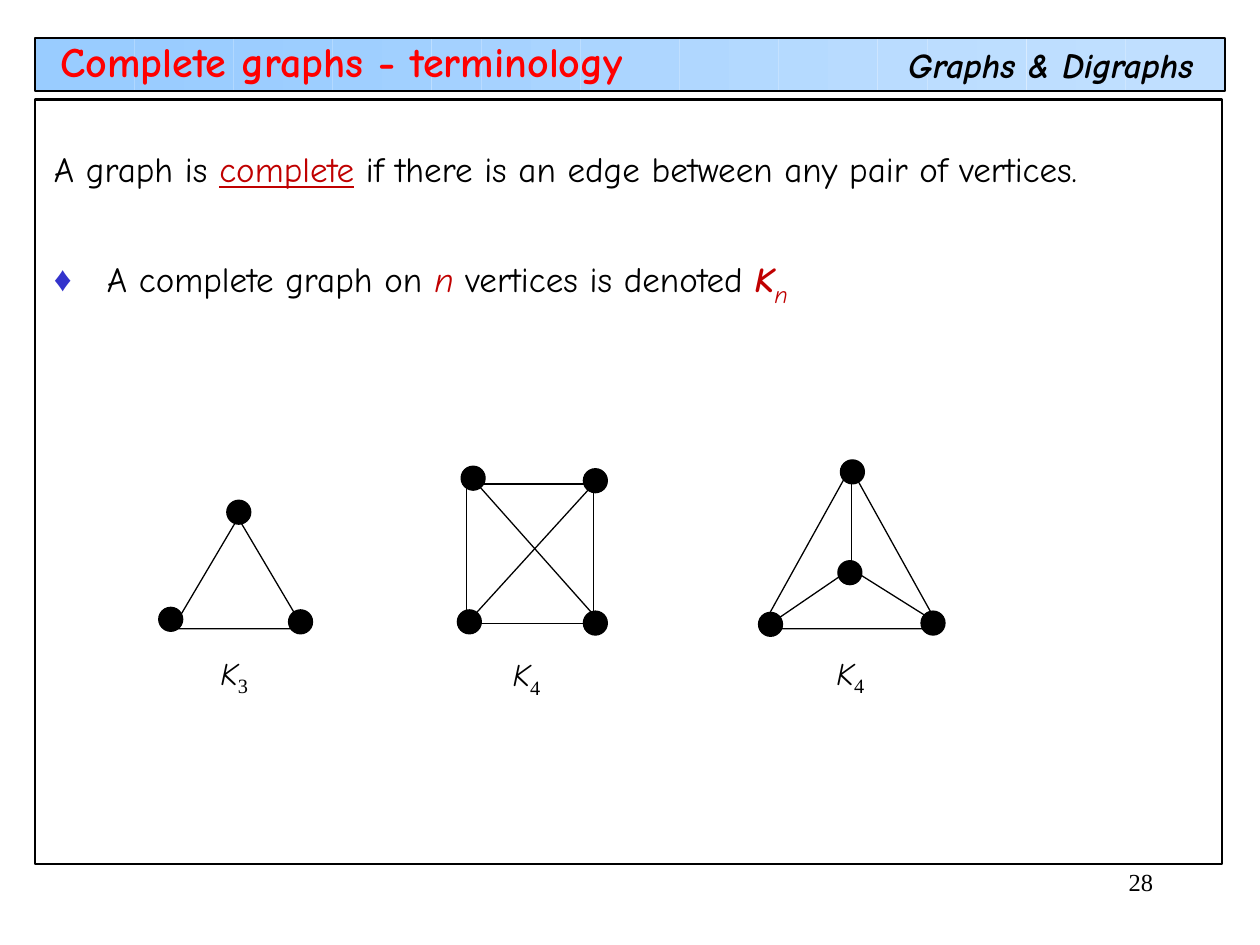
from math import cos, pi

from lxml.etree import SubElement
from pptx import Presentation
from pptx.dml.color import RGBColor
from pptx.enum.shapes import MSO_CONNECTOR, MSO_SHAPE as Shape
from pptx.enum.text import MSO_ANCHOR as Anchor, PP_ALIGN as Align
from pptx.oxml.ns import qn
from pptx.util import Inches, Pt

BLACK = RGBColor(0, 0, 0)
RED = RGBColor(0xFF, 0, 0)
DARK_RED = RGBColor(0xC0, 0, 0)
BULLET_BLUE = RGBColor(0x33, 0x33, 0xCC)
BAND_START = RGBColor(0x99, 0xCC, 0xFF)
BAND_END = RGBColor(0xC0, 0xDF, 0xFF)

COMIC, TIMES = "Comic Neue", "Times New Roman"
BODY = {"name": COMIC, "size": Pt(20)}
TERM = {**BODY, "color": DARK_RED}
LABEL = {"name": COMIC, "size": Pt(18), "italic": True}
LABEL_INDEX = {"name": TIMES, "size": Pt(20), "subscript": True}

BAND = (0.28, 0.3, 9.44, 0.42)
STRIPS = 24
FRAME = (0.28, 0.79, 9.42, 6.07)
VERTEX = 0.19

HEADER = [("Graphs & Digraphs", {**BODY, "bold": True, "italic": True})]
TITLE = [("Complete graphs - terminology",
          {"name": COMIC, "size": Pt(24), "bold": True, "color": RED})]
PAGE = [("28", {"name": TIMES, "size": Pt(14)})]
DEFINITION = [
    ("A graph is ", BODY),
    ("complete", {**TERM, "underline": True}),
    (" if there is an edge between any pair of vertices.", BODY),
]
NOTATION = [
    ("A complete graph on ", BODY),
    ("n", {**TERM, "italic": True}),
    (" vertices is denoted ", BODY),
    ("K", {**TERM, "bold": True, "italic": True}),
    ("n", {**TERM, "size": Pt(24), "italic": True, "subscript": True}),
]

GRAPHS = [
    {
        "outline": (Shape.ISOSCELES_TRIANGLE, (1.37, 4.11, 1.04, 0.88)),
        "edges": [],
        "vertices": [(1.8, 3.97), (2.29, 4.84), (1.26, 4.82)],
        "order": "3",
        "label": (1.65, 5.11),
    },
    {
        "outline": (Shape.RECTANGLE, (3.7, 3.84, 1.01, 1.11)),
        "edges": [(3.76, 3.81, 4.72, 4.89), (4.74, 3.81, 3.73, 4.92)],
        "vertices": [(4.63, 4.85), (4.63, 3.72), (3.63, 4.84), (3.66, 3.7)],
        "order": "4",
        "label": (3.97, 5.12),
    },
    {
        "outline": (Shape.ISOSCELES_TRIANGLE, (6.04, 3.71, 1.42, 1.28)),
        "edges": [(6.76, 4.53, 6.76, 3.71), (6.73, 4.53, 6.13, 4.94),
                  (6.73, 4.5, 7.43, 4.94)],
        "vertices": [(6.02, 4.86), (6.65, 4.45), (6.67, 3.65), (7.31, 4.85)],
        "order": "4",
        "label": (6.54, 5.11),
    },
]


def add_shape(slide, kind, box, fill=None, line=None):
    shape = slide.shapes.add_shape(kind, *map(Inches, box))
    shape.shadow.inherit = False
    if fill is None:
        shape.fill.background()
    else:
        shape.fill.solid()
        shape.fill.fore_color.rgb = fill
    if line is None:
        shape.line.fill.background()
    else:
        shape.line.color.rgb = BLACK
        shape.line.width = Pt(line)


def add_edge(slide, points):
    edge = slide.shapes.add_connector(MSO_CONNECTOR.STRAIGHT, *map(Inches, points))
    edge.line.color.rgb = BLACK
    edge.line.width = Pt(0.75)
    SubElement(edge._element.spPr, qn("a:effectLst"))


def write_runs(paragraph, runs):
    for text, style in runs:
        run = paragraph.add_run()
        run.text = text
        values = {"color": BLACK, **style}
        run.font.color.rgb = values.pop("color")
        if values.pop("subscript", False):
            run.font._element.set("baseline", "-25000")
        for key, value in values.items():
            setattr(run.font, key, value)


def add_text(slide, box, runs, wrap=True, align=Align.LEFT, anchor=Anchor.TOP):
    frame = slide.shapes.add_textbox(*map(Inches, box)).text_frame
    frame.word_wrap = wrap
    frame.vertical_anchor = anchor
    frame.paragraphs[0].alignment = align
    write_runs(frame.paragraphs[0], runs)
    return frame


def add_bullet(paragraph, character, color, indent):
    properties = paragraph._p.get_or_add_pPr()
    properties.set("marL", str(Inches(indent)))
    properties.set("indent", str(-Inches(indent)))
    bullet_color = SubElement(properties, qn("a:buClr"))
    SubElement(bullet_color, qn("a:srgbClr"), val=str(color))
    SubElement(properties, qn("a:buFont"), typeface=TIMES)
    SubElement(properties, qn("a:buChar"), char=character)


def add_band(slide):
    left, top, width, height = BAND
    pitch = width / STRIPS
    for index in range(STRIPS):
        blend = (1 - cos(pi * index / (STRIPS - 1))) / 2
        color = RGBColor(*(round(start + (end - start) * blend)
                           for start, end in zip(BAND_START, BAND_END)))
        add_shape(slide, Shape.RECTANGLE,
                  (left + index * pitch, top, pitch, height), fill=color)
    add_shape(slide, Shape.RECTANGLE, BAND, line=1.25)


def add_graph(slide, graph):
    kind, box = graph["outline"]
    add_shape(slide, kind, box, line=0.75)
    for points in graph["edges"]:
        add_edge(slide, points)
    for vertex in graph["vertices"]:
        add_shape(slide, Shape.OVAL, (*vertex, VERTEX, VERTEX), fill=BLACK, line=0.75)
    add_text(slide, (*graph["label"], 0.49, 0.48),
             [("K", LABEL), (graph["order"], LABEL_INDEX)], wrap=False)


def main():
    presentation = Presentation()
    presentation.slide_width = Inches(10)
    presentation.slide_height = Inches(7.5)
    slide = presentation.slides.add_slide(presentation.slide_layouts[6])

    add_band(slide)
    add_shape(slide, Shape.RECTANGLE, FRAME, line=1.25)
    add_text(slide, (7.11, 0.3, 2.48, 0.44), HEADER, wrap=False)
    add_text(slide, (7.92, 6.83, 1.33, 0.5), PAGE, align=Align.RIGHT)
    add_text(slide, (0.38, 0.35, 6.02, 0.26), TITLE, anchor=Anchor.MIDDLE)

    body = add_text(slide, (0.33, 1.12, 9.26, 1.3), DEFINITION)
    notation = body.add_paragraph()
    notation.space_before = Pt(35)
    add_bullet(notation, "♦", BULLET_BLUE, 0.42)
    write_runs(notation, NOTATION)

    for graph in GRAPHS:
        add_graph(slide, graph)
    presentation.save("out.pptx")


if __name__ == "__main__":
    main()
